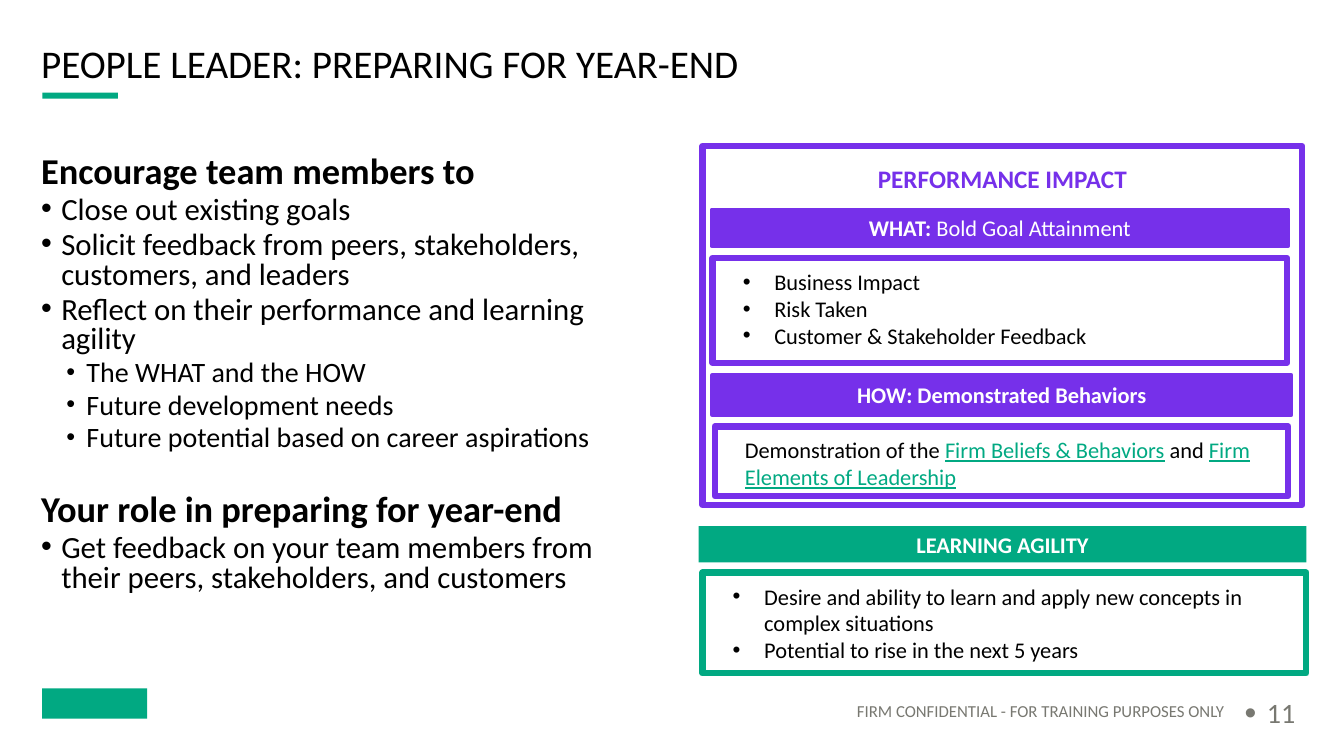
import pptx
import pptx.util
import pptx.dml.color
import pptx.enum.shapes
import pptx.enum.text
import pptx.oxml.ns
import lxml.etree

Pt = pptx.util.Pt
ALIGN = pptx.enum.text.PP_ALIGN
ANCHOR = pptx.enum.text.MSO_ANCHOR

THEME = {
    "font": "Calibri",
    "colors": {"black": "000000", "white": "FFFFFF", "gray": "787871",
               "green": "01A982", "purple": "7630EA"},
    "sizes": {"title": 28, "heading": 26, "body": 22, "sub": 20, "number": 20,
              "impact": 18, "panel": 16, "footer": 12},
    "frame_line": 4.5,
    "bar_line": 3,
}

TITLE = "PEOPLE LEADER: PREPARING FOR YEAR-END"
FOOTER = "FIRM CONFIDENTIAL - FOR TRAINING PURPOSES ONLY"
NUMBER = "11"

GUIDANCE = [
    ("heading", "Encourage team members to"),
    ("body", "Close out existing goals"),
    ("body", "Solicit feedback from peers, stakeholders, customers, and leaders"),
    ("body", "Reflect on their performance and learning agility"),
    ("sub", "The WHAT and the HOW"),
    ("sub", "Future development needs"),
    ("sub", "Future potential based on career aspirations"),
    ("heading", "Your role in preparing for year-end"),
    ("body", "Get feedback on your team members from their peers, stakeholders, and customers"),
]

IMPACT = "PERFORMANCE IMPACT"
BARS = [
    ((508.3, 149.8, 411.8, 25.9), "purple", THEME["bar_line"],
     [("WHAT:", True), (" Bold Goal Attainment", False)]),
    ((509, 267.8, 413.3, 28.8), "purple", THEME["bar_line"],
     [("HOW: Demonstrated Behaviors", True)]),
    ((499, 375.8, 434.2, 25.9), "green", 0, [("LEARNING AGILITY", True)]),
]
LISTS = [
    ((509, 184.3, 410.4, 74.9), "purple",
     ["Business Impact", "Risk Taken", "Customer & Stakeholder Feedback"]),
    ((501.8, 409, 431.3, 72), "green",
     ["Desire and ability to learn and apply new concepts in complex situations",
      "Potential to rise in the next 5 years"]),
]
BEHAVIORS = [
    ("Demonstration of the ", False),
    ("Firm Beliefs & Behaviors", True),
    (" and ", False),
    ("Firm Elements of Leadership", True),
]

INDENTS = {"body": (14.4, 14.4, 100), "sub": (32.4, 14.4, 90),
           "panel": (22.5, 22.5, 100), "number": (15.84, 15.84, 120)}


def color(name):
    return pptx.dml.color.RGBColor.from_string(THEME["colors"][name])


def prepare(shape, insets, anchor):
    frame = shape.text_frame
    frame.word_wrap = True
    frame.auto_size = pptx.enum.text.MSO_AUTO_SIZE.NONE
    frame.vertical_anchor = anchor
    frame.margin_left = frame.margin_right = Pt(insets[0])
    frame.margin_top = frame.margin_bottom = Pt(insets[1])
    return frame


def text_box(box, insets=(7.2, 7.2), anchor=ANCHOR.TOP):
    return prepare(slide.shapes.add_textbox(*map(Pt, box)), insets, anchor)


def panel(box, fill=None, line=None, weight=0, insets=(7.2, 3.6), anchor=ANCHOR.TOP):
    shape = slide.shapes.add_shape(pptx.enum.shapes.MSO_SHAPE.RECTANGLE, *map(Pt, box))
    shape.shadow.inherit = False
    if fill:
        shape.fill.solid()
        shape.fill.fore_color.rgb = color(fill)
    else:
        shape.fill.background()
    if weight:
        shape.line.color.rgb = color(line)
        shape.line.width = Pt(weight)
    else:
        shape.line.fill.background()
    return prepare(shape, insets, anchor)


def paragraph_at(frame, index):
    return frame.add_paragraph() if index else frame.paragraphs[0]


def bullet(paragraph, role):
    left, hang, percent = INDENTS[role]
    properties = paragraph._p.get_or_add_pPr()
    properties.set("marL", str(Pt(left)))
    properties.set("indent", str(-Pt(hang)))
    for tag, key, value in (("a:buSzPct", "val", str(percent * 1000)),
                            ("a:buFont", "typeface", "Arial"),
                            ("a:buChar", "char", "•")):
        lxml.etree.SubElement(properties, pptx.oxml.ns.qn(tag)).set(key, value)


def style(run, role, hue="black", bold=False, underline=False):
    run.font.name = THEME["font"]
    run.font.size = Pt(THEME["sizes"][role])
    run.font.color.rgb = color(hue)
    run.font.bold = bold
    run.font.underline = underline


def write(paragraph, text, role, hue="black", bold=False, align=ALIGN.LEFT, spacing=1.0):
    paragraph.text = text
    paragraph.alignment = align
    paragraph.line_spacing = spacing
    if role in INDENTS:
        bullet(paragraph, role)
    style(paragraph.runs[0], role, hue, bold)


deck = pptx.Presentation()
deck.slide_width, deck.slide_height = Pt(960), Pt(540)
slide = deck.slides.add_slide(deck.slide_layouts[6])

panel((30.2, 491.8, 74.9, 21.6), "green")
panel((30.2, 66.2, 54, 4.3), "green")

title = text_box((22.3, 31, 905, 31.7), anchor=ANCHOR.MIDDLE)
write(title.paragraphs[0], TITLE, "title", spacing=0.9)
number = text_box((882, 496.1, 54, 28.8), (7.2, 3.6), ANCHOR.MIDDLE)
write(number.paragraphs[0], NUMBER, "number", "gray", spacing=0.9)
footer = text_box((293, 482.4, 589, 32.4), (7.2, 0), ANCHOR.BOTTOM)
write(footer.paragraphs[0], FOOTER, "footer", "gray", align=ALIGN.RIGHT, spacing=0.9)

guidance = text_box((22.3, 104.4, 434.9, 359.3))
for index, (role, text) in enumerate(GUIDANCE):
    paragraph = paragraph_at(guidance, index)
    write(paragraph, text, role, bold=role == "heading", spacing=0.8)
    if index:
        paragraph.space_before = Pt(29.5 if role == "heading" else 4)

impact = panel((501.8, 104.4, 428.4, 256.3), None, "purple",
               THEME["frame_line"], (14.4, 14.4))
write(impact.paragraphs[0], IMPACT, "impact", "purple", True, ALIGN.CENTER, 0.9)

for box, hue, weight, pieces in BARS:
    paragraph = panel(box, hue, hue, weight, anchor=ANCHOR.MIDDLE).paragraphs[0]
    paragraph.alignment = ALIGN.CENTER
    for text, bold in pieces:
        run = paragraph.add_run()
        run.text = text
        style(run, "panel", "white", bold)

for box, hue, items in LISTS:
    frame = panel(box, "white", hue, THEME["frame_line"], (21.6, 7.2))
    for index, text in enumerate(items):
        write(paragraph_at(frame, index), text, "panel")

behaviors = panel((510.5, 304.6, 409.7, 49.7), "white", "purple",
                  THEME["frame_line"], (21.6, 7.2)).paragraphs[0]
behaviors.alignment = ALIGN.LEFT
for text, linked in BEHAVIORS:
    run = behaviors.add_run()
    run.text = text
    style(run, "panel", "green" if linked else "black", underline=linked)

deck.save("out.pptx")
